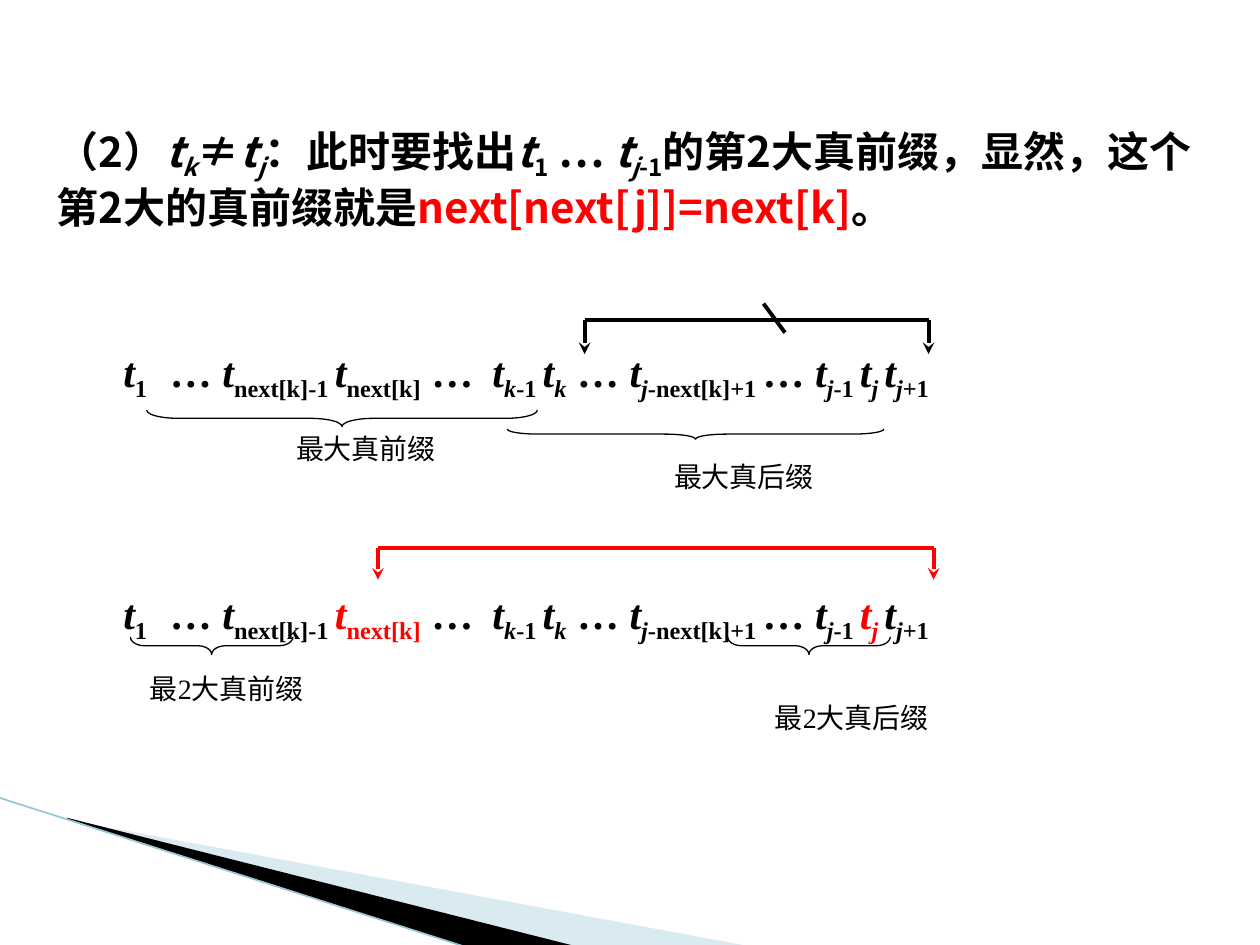
from lxml import etree
from pptx import Presentation
from pptx.dml.color import RGBColor
from pptx.enum.shapes import MSO_CONNECTOR, MSO_SHAPE
from pptx.enum.text import PP_ALIGN
from pptx.oxml.ns import qn
from pptx.util import Inches, Pt

BLACK = RGBColor(0x00, 0x00, 0x00)
RED = RGBColor(0xFF, 0x00, 0x00)
PALE_BLUE = RGBColor(0xA0, 0xCB, 0xDC)
EDGE_BLUE = RGBColor(0x97, 0xC5, 0xD8)
SERIF = "Times New Roman"
SANS = "Noto Sans CJK SC"
STRAIGHT = MSO_CONNECTOR.STRAIGHT
LEFT_BRACE = MSO_SHAPE.LEFT_BRACE
JUSTIFY = PP_ALIGN.JUSTIFY

deck = Presentation()
deck.slide_width = Inches(10)
deck.slide_height = Inches(7.5)
page = deck.slides.add_slide(deck.slide_layouts[6])


def add_line(start, end, color, width, arrow=False):
    line = page.shapes.add_connector(STRAIGHT, *[Inches(v) for v in start + end])
    line.line.color.rgb = color
    line.line.width = Pt(width)
    if arrow:
        outline = line.line._get_or_add_ln()
        etree.SubElement(outline, qn("a:tailEnd"), type="stealth")
    etree.SubElement(line._element.spPr, qn("a:effectLst"))


def add_text(frame, runs, font, size, bold, inset, baseline=-25000, tabs=()):
    box = page.shapes.add_textbox(*[Inches(v) for v in frame])
    text = box.text_frame
    text.word_wrap = True
    text.margin_left = text.margin_right = Inches(inset)
    text.margin_top = text.margin_bottom = Inches(inset / 2)
    para = text.paragraphs[0]
    if tabs:
        stops = etree.SubElement(para._p.get_or_add_pPr(), qn("a:tabLst"))
        for stop in tabs:
            etree.SubElement(stops, qn("a:tab"), pos=str(Inches(stop)), algn="l")
    for content, style, color in runs:
        span = para.add_run()
        span.text = content
        span.font.name = font
        span.font.size = Pt(size)
        span.font.bold = bold
        span.font.italic = "i" in style
        span.font.color.rgb = color
        properties = span._r.get_or_add_rPr()
        if "s" in style:
            properties.set("baseline", str(baseline))
        etree.SubElement(properties, qn("a:ea"), typeface=SANS)
    return para


wedges = [
    ([(0.55, 6.51), (5.95, 7.51), (4.56, 7.51), (0.55, 6.5)], PALE_BLUE, 40000),
    ([(0.53, 6.49), (4.57, 7.51), (3.72, 7.52), (0.54, 6.5)], BLACK, None),
]
for points, color, alpha in wedges:
    corners = [(Inches(x), Inches(y)) for x, y in points]
    builder = page.shapes.build_freeform(*corners[0])
    builder.add_line_segments(corners[1:], close=True)
    wedge = builder.convert_to_shape()
    wedge.shadow.inherit = False
    wedge.fill.solid()
    wedge.fill.fore_color.rgb = color
    wedge.line.fill.background()
    if alpha:
        tint = wedge._element.spPr.find(".//" + qn("a:srgbClr"))
        etree.SubElement(tint, qn("a:alpha"), val=str(alpha))
add_line((-0.01, 6.33), (3.71, 7.52), EDGE_BLUE, 0.95)

heading = [
    ("（2）", "", BLACK), ("t", "i", BLACK), ("k", "is", BLACK), ("≠", "", BLACK),
    ("t", "i", BLACK), ("j", "is", BLACK), ("：此时要找出", "", BLACK),
    ("t", "i", BLACK), ("1", "s", BLACK), (" … ", "", BLACK),
    ("t", "i", BLACK), ("j", "is", BLACK), ("-1", "s", BLACK),
    ("的第2大真前缀，显然，这个第2大的真前缀就是", "", BLACK),
    ("next[next[j]]=next[k]", "", RED), ("。", "", BLACK),
]
add_text((0.35, 0.95, 9.29, 0.99), heading, SANS, 24, True, 0.1, baseline=-20000)

sequence = [
    ("t", "i"), ("1", "s"), ("\t… ", ""), ("t", "i"), ("next[k]-1 ", "s"),
    ("t", "i"), ("next[k]", "s"), (" …\t", ""), ("t", "i"), ("k", "is"),
    ("-1 ", "s"), ("t", "i"), ("k", "is"), (" … ", ""), ("t", "i"), ("j", "is"),
    ("-next[k]+1 ", "s"), ("… ", ""), ("t", "i"), ("j", "is"), ("-1 ", "s"),
    ("t", "i"), ("j ", "is"), ("t", "i"), ("j", "is"), ("+1", "s"),
]
for top, red_parts in [(2.69, ()), (4.61, (5, 6, 21, 22))]:
    runs = [
        (content, style, RED if index in red_parts else BLACK)
        for index, (content, style) in enumerate(sequence)
    ]
    row = add_text((0.88, top, 8.48, 0.5), runs, SERIF, 24, True, 0.1, tabs=(0.37, 2.93))
    row.alignment = JUSTIFY

brackets = [(4.64, 7.37, 2.54, 2.81, BLACK), (3, 7.41, 4.35, 4.6, RED)]
for left, right, top, bottom, color in brackets:
    add_line((left, top), (right, top), color, 2.25)
    for x in (left, right):
        add_line((x, top), (x, bottom), color, 2.25, arrow=True)
add_line((6.06, 2.41), (6.23, 2.64), BLACK, 2.25)

braces = [
    (2.65, 1.77, 0.13, 3.1, 1.93),
    (5.48, 1.95, 0.08, 2.99, 3.06),
    (1.61, 4.48, 0.14, 1.29, 0.79),
    (6.35, 4.48, 0.14, 1.29, 0.79),
]
for left, top, width, height, curve in braces:
    brace = page.shapes.add_shape(
        LEFT_BRACE, Inches(left), Inches(top), Inches(width), Inches(height)
    )
    brace.rotation = 270
    brace.adjustments[0] = curve
    brace.adjustments[1] = 0.5
    brace.shadow.inherit = False
    brace.fill.background()
    brace.line.color.rgb = BLACK
    brace.line.width = Pt(0.75)

labels = [
    ("最大真前缀", 2.35, 3.48, 1.19),
    ("最大真后缀", 5.35, 3.7, 1.19),
    ("最2大真前缀", 1.19, 5.38, 1.44),
    ("最2大真后缀", 6.15, 5.61, 1.44),
]
for content, left, top, width in labels:
    label = add_text((left, top, width, 0.23), [(content, "", BLACK)], SERIF, 16, False, 0)
    label.alignment = JUSTIFY
    label.line_spacing = 0.8

deck.save("out.pptx")
